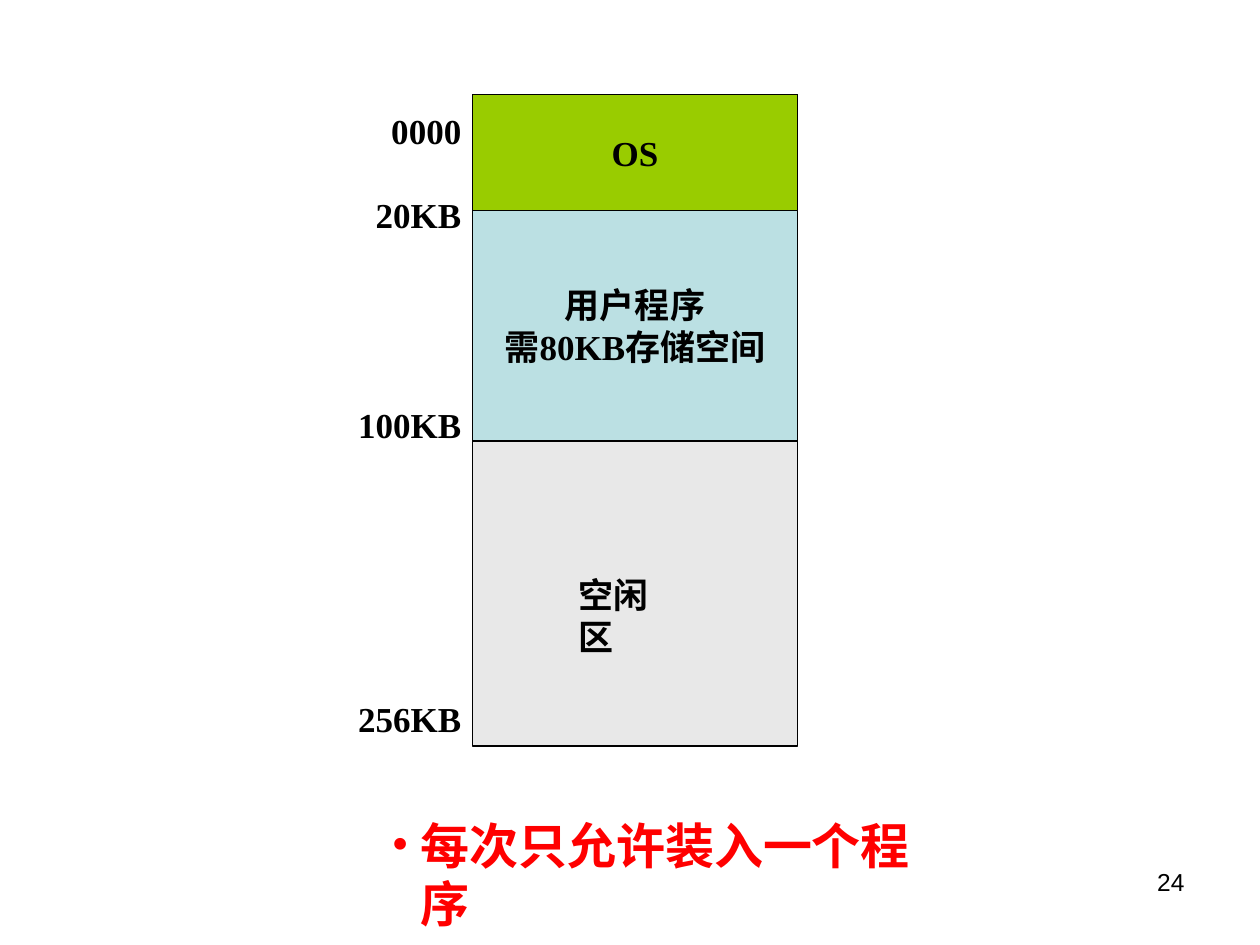
from pptx import Presentation
from pptx.dml.color import RGBColor
from pptx.enum.shapes import MSO_SHAPE as SHAPE
from pptx.enum.text import MSO_ANCHOR as ANCHOR, MSO_AUTO_SIZE as AUTO, PP_ALIGN as ALIGN
from pptx.oxml.ns import qn
from pptx.util import Inches, Pt
from lxml import etree

COLORS = {"free": "E8E8E8", "os": "99CC00", "user": "BBE0E3", "ink": "000000", "alert": "FF0000"}
LINE_PITCH = 24


def rgb(name):
    """Return the named palette colour."""
    return RGBColor.from_string(COLORS[name])


def write(tf, text, size=20, font="Times New Roman", color="ink", bold=True,
          align=ALIGN.LEFT, wrap=False, grow=False):
    """Write each line of text as a formatted paragraph."""
    tf.word_wrap = wrap
    tf.auto_size = AUTO.SHAPE_TO_FIT_TEXT if grow else AUTO.NONE
    for i, line in enumerate(text.split("\n")):
        p = tf.add_paragraph() if i else tf.paragraphs[0]
        p.alignment = align
        r = p.add_run()
        r.text = line
        r.font.size, r.font.name, r.font.bold = Pt(size), font, bold
        r.font.color.rgb = rgb(color)
    return tf


def add_text(s, x, y, w, h, text, **fmt):
    """Add a text box and return its text frame."""
    tb = s.shapes.add_textbox(Inches(x), Inches(y), Inches(w), Inches(h))
    return write(tb.text_frame, text, **fmt)


def add_block(s, x, y, w, h, fill, text=""):
    """Add an outlined memory block with a centred caption."""
    sp = s.shapes.add_shape(SHAPE.RECTANGLE, Inches(x), Inches(y), Inches(w), Inches(h))
    sp.shadow.inherit = False
    sp.fill.solid()
    sp.fill.fore_color.rgb = rgb(fill)
    sp.line.color.rgb = rgb("ink")
    sp.line.width = Pt(1)
    if text:
        sp.text_frame.vertical_anchor = ANCHOR.MIDDLE
        write(sp.text_frame, text, align=ALIGN.CENTER)


def add_memory_map(s, x, y, w, h):
    """Draw the memory column: free area behind, OS and user program on top."""
    os_h, user_h = 0.92, 1.83
    add_block(s, x, y, w, h, "free")
    add_block(s, x, y, w, os_h, "os", "OS")
    add_block(s, x, y + os_h, w, user_h, "user", "用户程序\n需80KB存储空间")
    add_text(s, x + 0.74, y + 3.75, 1.03, 0.44, "空闲区", grow=True)


def add_addresses(s, x, y, w, h):
    """Write the address labels, spaced by whole numbers of lines."""
    tf = add_text(s, x, y, w, h, "0000\n20KB\n100KB\n256KB", align=ALIGN.RIGHT, grow=True)
    for p, skipped in zip(tf.paragraphs, (0, 1, 4, 6)):
        p.line_spacing = Pt(LINE_PITCH)
        p.space_before = Pt(skipped * LINE_PITCH)


def add_conclusion(s, x, y, w, h):
    """Write the bulleted conclusion with a hanging indent."""
    tf = add_text(s, x, y, w, h, "每次只允许装入一个程序", size=28, color="alert",
                  wrap=True, grow=True)
    pPr = tf.paragraphs[0]._p.get_or_add_pPr()
    indent = Inches(0.23)
    pPr.set("marL", str(indent))
    pPr.set("indent", str(-indent))
    clr = etree.SubElement(pPr, qn("a:buClr"))
    etree.SubElement(clr, qn("a:srgbClr"), val=COLORS["alert"])
    etree.SubElement(pPr, qn("a:buFont"), typeface="Times New Roman")
    etree.SubElement(pPr, qn("a:buChar"), char="•")


def main():
    """Build and save the slide."""
    prs = Presentation()
    prs.slide_width, prs.slide_height = Inches(10), Inches(7.5)
    s = prs.slides.add_slide(prs.slide_layouts[6])
    add_text(s, 7.17, 6.83, 2.33, 0.52, "24", size=14, font="Arial", bold=False,
             align=ALIGN.RIGHT, wrap=True)
    add_memory_map(s, 3.75, 0.75, 2.58, 5.17)
    add_addresses(s, 2.74, 0.82, 1.02, 5.1)
    add_conclusion(s, 3.01, 6.42, 4.6, 0.57)
    prs.save("out.pptx")


if __name__ == "__main__":
    main()
